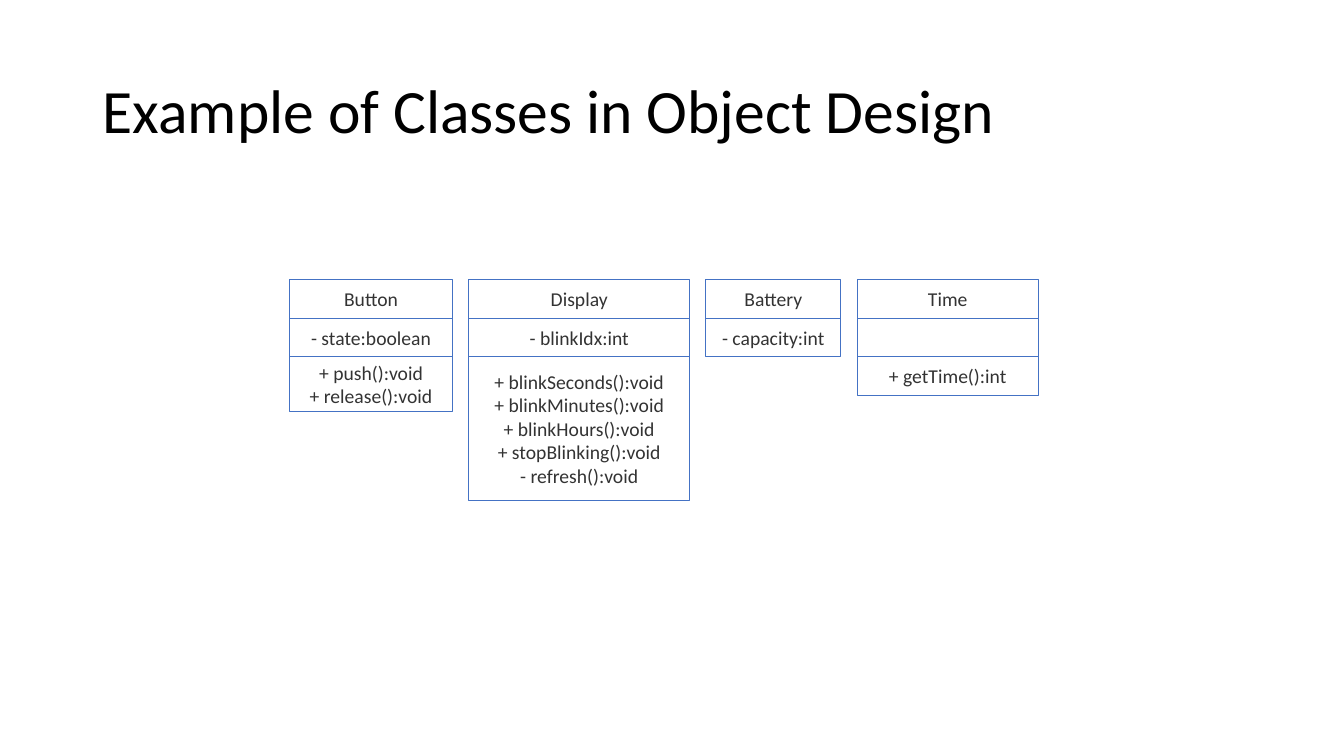
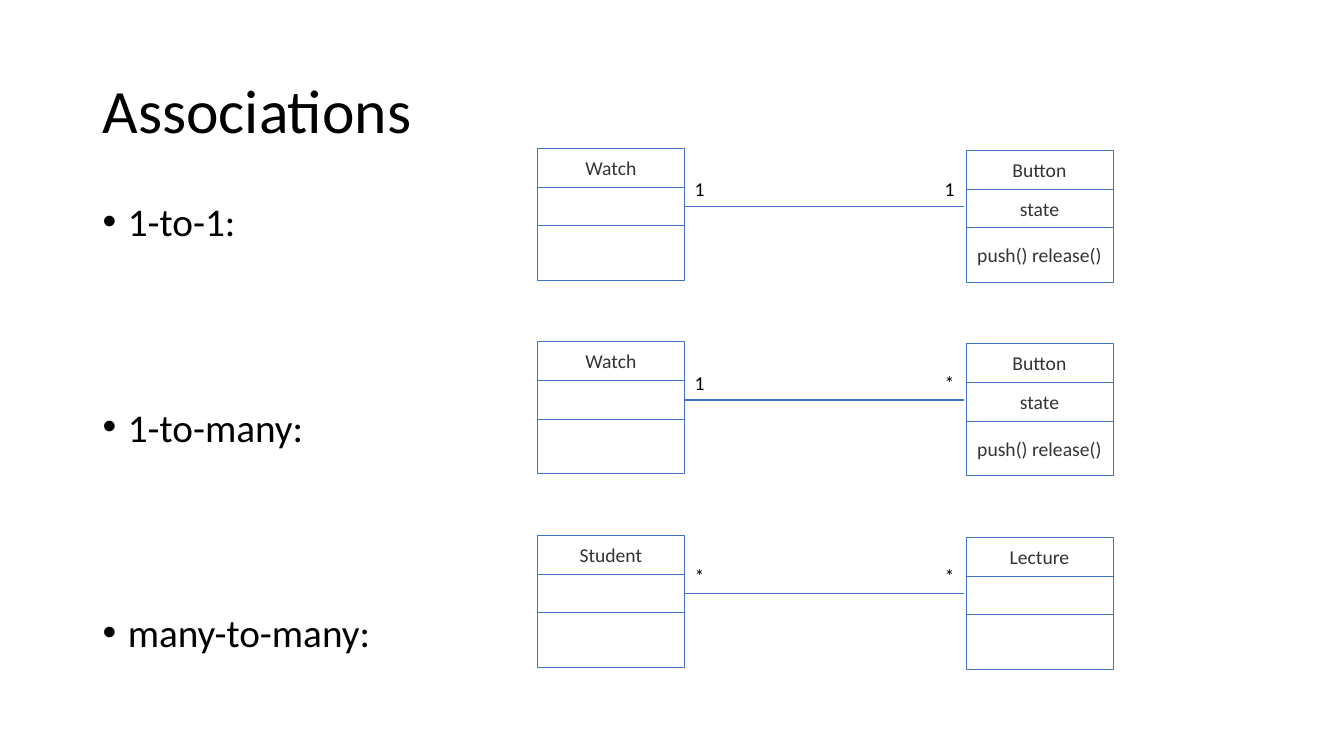
"""Build two slides on UML classes and their associations."""
from dataclasses import dataclass
from typing import Any

import lxml.etree
import pptx
import pptx.dml.color
import pptx.enum.shapes
import pptx.enum.text
import pptx.oxml.ns
import pptx.util

Inches = pptx.util.Inches
Pt = pptx.util.Pt
RGB = pptx.dml.color.RGBColor
Align = pptx.enum.text.PP_ALIGN
Anchor = pptx.enum.text.MSO_ANCHOR
qn = pptx.oxml.ns.qn


@dataclass(frozen=True)
class Theme:
    font: str = "Calibri"
    ink: RGB = RGB(0x00, 0x00, 0x00)
    class_ink: RGB = RGB(0x33, 0x33, 0x33)
    outline: RGB = RGB(0x44, 0x72, 0xC4)
    title_size: int = 44
    bullet_size: int = 28
    class_size: int = 14
    outline_width: float = 0.5
    association_width: float = 1


@dataclass(frozen=True)
class UmlClass:
    name: str
    width: float
    attributes: str = ""
    operations: tuple[str, ...] = ()
    operations_height: float = 0.54


@dataclass(frozen=True)
class Association:
    source: UmlClass
    source_count: str
    target_count: str
    target: UmlClass


THEME = Theme()
ROW_HEIGHT = 0.77 / 2
CLASS_TOP = 2.77
CLASS_LEFT = 2.87
CLASS_GAP = 0.16
SOURCE_LEFT = 5.33
TARGET_LEFT = 9.58
ASSOCIATION_TOP = 1.47
ASSOCIATION_PITCH = 1.92

CLASSES = (
    UmlClass("Button", 1.62, "- state:boolean", ("+ push():void", "+ release():void")),
    UmlClass(
        "Display", 2.19, "- blinkIdx:int",
        ("+ blinkSeconds():void", "+ blinkMinutes():void", "+ blinkHours():void",
         "+ stopBlinking():void", "- refresh():void"),
        1.42,
    ),
    UmlClass("Battery", 1.34, "- capacity:int", operations_height=0),
    UmlClass("Time", 1.8, "", ("+ getTime():int",), 0.38),
)
WATCH = UmlClass("Watch", 1.46)
BUTTON = UmlClass("Button", 1.46, "state", ("push() release()",))
ASSOCIATIONS = (
    Association(WATCH, "1", "1", BUTTON),
    Association(WATCH, "1", "*", BUTTON),
    Association(UmlClass("Student", 1.46), "*", "*", UmlClass("Lecture", 1.46)),
)
ASSOCIATION_KINDS = ("1-to-1:", "1-to-many:", "many-to-many:")


def write_text(
    frame: Any, *lines: str, size: float, color: RGB = THEME.ink,
    align: Align = Align.LEFT, anchor: Anchor = Anchor.TOP, wrap: bool = True,
    line_spacing: float = 1.0, gap: float = 0, bulleted: bool = False,
) -> None:
    frame.word_wrap = wrap
    frame.vertical_anchor = anchor
    for index, line in enumerate(lines):
        paragraph = frame.paragraphs[0] if index == 0 else frame.add_paragraph()
        paragraph.text = line
        paragraph.alignment = align
        paragraph.line_spacing = line_spacing
        paragraph.space_before = Pt(gap if index else 0)
        if bulleted:
            properties = paragraph._p.get_or_add_pPr()
            properties.set("marL", str(Inches(0.25)))
            properties.set("indent", str(Inches(-0.25)))
            lxml.etree.SubElement(properties, qn("a:buFont")).set("typeface", "Arial")
            lxml.etree.SubElement(properties, qn("a:buChar")).set("char", "•")
        paragraph.font.name = THEME.font
        paragraph.font.size = Pt(size)
        paragraph.font.color.rgb = color


def add_text(
    shapes: Any, left: float, top: float, width: float, height: float,
    *lines: str, **text_format: Any,
) -> Any:
    box = shapes.add_textbox(Inches(left), Inches(top), Inches(width), Inches(height))
    write_text(box.text_frame, *lines, **text_format)
    return box


def add_titled_slide(deck: Any, title: str) -> Any:
    slide = deck.slides.add_slide(deck.slide_layouts[6])
    add_text(slide.shapes, 0.92, 0.4, 11.5, 1.45, title, size=THEME.title_size,
             anchor=Anchor.MIDDLE, line_spacing=0.9)
    return slide


def draw_class(shapes: Any, uml_class: UmlClass, left: float, top: float) -> None:
    compartments = (
        ((uml_class.name,), ROW_HEIGHT),
        ((uml_class.attributes,), ROW_HEIGHT),
        (uml_class.operations, uml_class.operations_height),
    )
    for lines, height in compartments:
        if not height:
            continue
        compartment = shapes.add_shape(
            pptx.enum.shapes.MSO_SHAPE.RECTANGLE,
            Inches(left), Inches(top), Inches(uml_class.width), Inches(height),
        )
        compartment.shadow.inherit = False
        compartment.fill.background()
        compartment.line.color.rgb = THEME.outline
        compartment.line.width = Pt(THEME.outline_width)
        if any(lines):
            write_text(compartment.text_frame, *lines, size=THEME.class_size,
                       color=THEME.class_ink, align=Align.CENTER, anchor=Anchor.MIDDLE)
        top += height


def draw_association(shapes: Any, association: Association, top: float) -> None:
    draw_class(shapes, association.source, SOURCE_LEFT, top)
    draw_class(shapes, association.target, TARGET_LEFT, top + 0.02)
    line_y = Inches(top + 0.58)
    link = shapes.add_connector(
        pptx.enum.shapes.MSO_CONNECTOR.STRAIGHT,
        Inches(6.78), line_y, Inches(9.56), line_y,
    )
    link.line.color.rgb = THEME.outline
    link.line.width = Pt(THEME.association_width)
    lxml.etree.SubElement(link._element.spPr, qn("a:effectLst"))
    for count, left in ((association.source_count, 6.79), (association.target_count, 9.27)):
        label = add_text(shapes, left, top + 0.24, 0.31, 0.34, count,
                         size=THEME.class_size, wrap=False)
        label.text_frame.auto_size = pptx.enum.text.MSO_AUTO_SIZE.SHAPE_TO_FIT_TEXT


def build_classes(deck: Any) -> None:
    slide = add_titled_slide(deck, "Example of Classes in Object Design")
    left = CLASS_LEFT
    for uml_class in CLASSES:
        draw_class(slide.shapes.add_group_shape().shapes, uml_class, left, CLASS_TOP)
        left += uml_class.width + CLASS_GAP


def build_associations(deck: Any) -> None:
    slide = add_titled_slide(deck, "Associations")
    add_text(slide.shapes, 0.92, 2, 11.5, 4.76, *ASSOCIATION_KINDS,
             size=THEME.bullet_size, line_spacing=0.8, gap=120, bulleted=True)
    for index, association in enumerate(ASSOCIATIONS):
        draw_association(slide.shapes.add_group_shape().shapes, association,
                         ASSOCIATION_TOP + index * ASSOCIATION_PITCH)


def main() -> None:
    deck = pptx.Presentation()
    deck.slide_width = Inches(13.33)
    deck.slide_height = Inches(7.5)
    build_classes(deck)
    build_associations(deck)
    deck.save("out.pptx")


if __name__ == "__main__":
    main()
